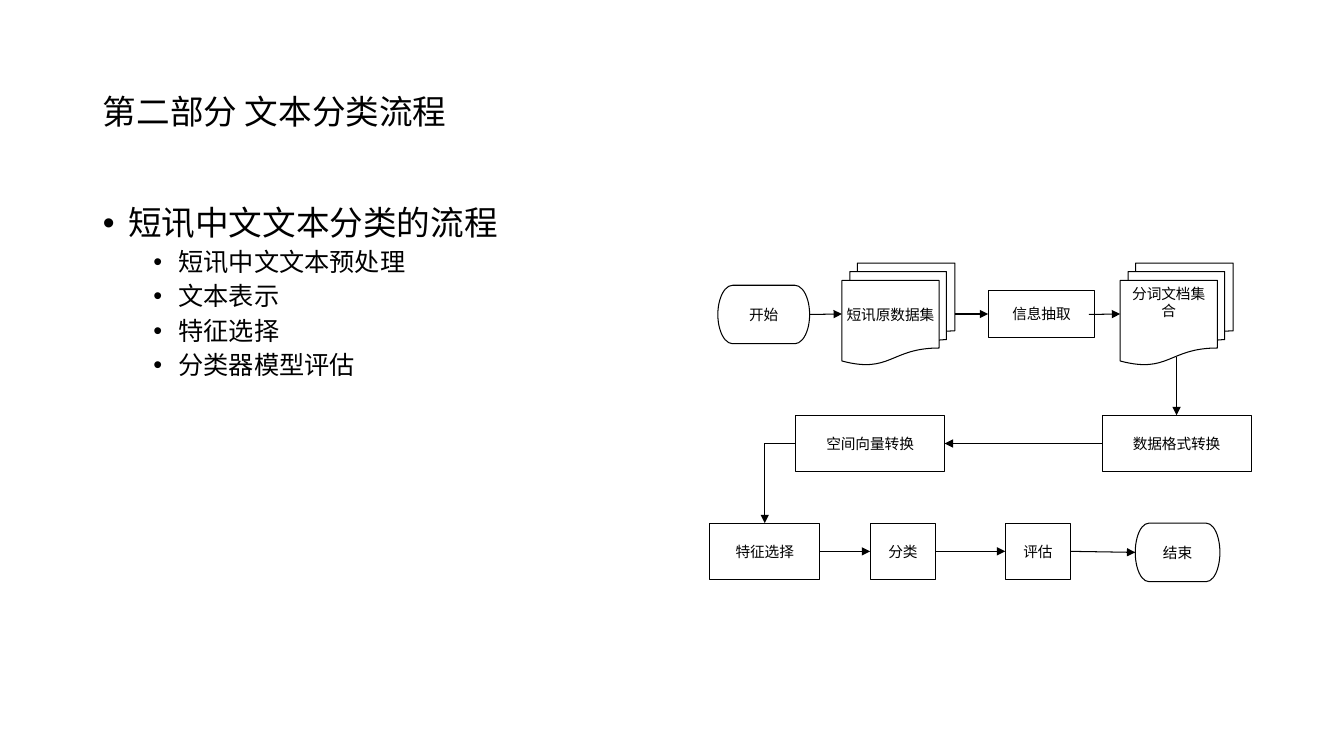
from dataclasses import dataclass

from lxml import etree
from pptx import Presentation
from pptx.dml.color import RGBColor
from pptx.enum.shapes import MSO_CONNECTOR as Link, MSO_SHAPE as Shape
from pptx.enum.text import MSO_ANCHOR as Anchor, PP_ALIGN as Align
from pptx.oxml.ns import qn
from pptx.util import Inches, Pt


@dataclass
class Theme:
    ink = RGBColor(0, 0, 0)
    paper = RGBColor(255, 255, 255)
    text_font = "Calibri"
    chart_font = "Times New Roman"
    heading = Pt(24)
    detail = Pt(18)
    label = Pt(10.5)
    line = Pt(0.75)


def style(paragraph, font_name, size, align):
    paragraph.alignment = align
    paragraph.font.name = font_name
    paragraph.font.size = size
    paragraph.font.color.rgb = Theme.ink


def add_arrow(kind, start, end):
    arrow = slide.shapes.add_connector(kind, *(Inches(v) for v in start + end))
    arrow.line.color.rgb = Theme.ink
    arrow.line.width = Theme.line
    etree.SubElement(arrow.line._get_or_add_ln(), qn("a:tailEnd"), type="triangle")
    etree.SubElement(arrow._element.spPr, qn("a:effectLst"))
    return arrow


deck = Presentation()
deck.slide_width, deck.slide_height = Inches(13.33), Inches(7.5)
slide = deck.slides.add_slide(deck.slide_layouts[1])

# Title
title = slide.shapes.title
title.left, title.top, title.width, title.height = map(Inches, (0.92, 0.4, 11.5, 1.45))
title.text_frame.text = "第二部分 文本分类流程"
title.text_frame.vertical_anchor = Anchor.MIDDLE
title.text_frame.paragraphs[0].line_spacing = 0.9
style(title.text_frame.paragraphs[0], Theme.text_font, Theme.heading, Align.LEFT)

# Outline of the process
outline = slide.placeholders[1]
outline.left, outline.top, outline.width, outline.height = map(Inches, (0.92, 2, 11.5, 4.76))
outline.text_frame.text = "\n".join([
    "短讯中文文本分类的流程",
    "短讯中文文本预处理",
    "文本表示",
    "特征选择",
    "分类器模型评估",
])
for i, point in enumerate(outline.text_frame.paragraphs):
    level, indent, before, size = (1, 0.75, 5, Theme.detail) if i else (0, 0.25, 10, Theme.heading)
    point.level = level
    point.line_spacing = 0.9
    point.space_before = Pt(before)
    properties = point._p.get_or_add_pPr()
    properties.set("marL", str(Inches(indent)))
    properties.set("indent", str(Inches(-0.25)))
    etree.SubElement(properties, qn("a:buFont"), typeface="Arial")
    etree.SubElement(properties, qn("a:buChar"), char="•")
    style(point, Theme.text_font, size, Align.LEFT)

# Flowchart steps: key, label, shape, box, side inset, bottom inset, anchor
terminator, process, documents = (
    Shape.FLOWCHART_TERMINATOR, Shape.FLOWCHART_PROCESS, Shape.FLOWCHART_MULTIDOCUMENT)
step_specs = [
    ("start", "开始", terminator, (7.12, 2.83, 0.91, 0.58), 0.07, 0.04, Anchor.MIDDLE),
    ("extract", "信息抽取", process, (9.8, 2.88, 1.06, 0.47), 0, 0.04, Anchor.MIDDLE),
    ("format", "数据格式转换", process, (10.93, 4.12, 1.48, 0.56), 0.07, 0.04, Anchor.MIDDLE),
    ("vector", "空间向量转换", process, (7.89, 4.12, 1.48, 0.56), 0.07, 0.04, Anchor.MIDDLE),
    ("select", "特征选择", process, (7.04, 5.19, 1.09, 0.56), 0.07, 0.04, Anchor.MIDDLE),
    ("classify", "分类", process, (8.63, 5.19, 0.65, 0.56), 0.07, 0.04, Anchor.MIDDLE),
    ("evaluate", "评估", process, (9.97, 5.19, 0.65, 0.56), 0.07, 0.04, Anchor.MIDDLE),
    ("end", "结束", terminator, (11.26, 5.19, 0.84, 0.58), 0.07, 0.04, Anchor.MIDDLE),
    ("raw", "短讯原数据集", documents, (8.35, 2.61, 1.12, 1.01), 0, 0.16, Anchor.MIDDLE),
    ("words", "分词文档集合", documents, (11.11, 2.61, 1.12, 1.01), 0.07, 0.04, Anchor.TOP),
]
steps = {}
for key, label, outline_shape, box, side_inset, bottom_inset, anchor in step_specs:
    step = slide.shapes.add_shape(outline_shape, *map(Inches, box))
    step.shadow.inherit = False
    step.fill.solid()
    step.fill.fore_color.rgb = Theme.paper
    step.line.color.rgb = Theme.ink
    step.line.width = Theme.line
    frame = step.text_frame
    frame.text = label
    frame.word_wrap = True
    frame.vertical_anchor = anchor
    frame.margin_left = frame.margin_right = Inches(side_inset)
    frame.margin_top, frame.margin_bottom = Inches(0.04), Inches(bottom_inset)
    style(frame.paragraphs[0], Theme.chart_font, Theme.label, Align.CENTER)
    steps[key] = step

# Arrows: source, its side, target, its side (0 top, 1 left, 2 bottom, 3 right)
joins = [
    ("start", 3, "raw", 1),
    ("raw", 3, "extract", 1),
    ("format", 1, "vector", 3),
    ("select", 3, "classify", 1),
    ("classify", 3, "evaluate", 1),
    ("evaluate", 3, "end", 1),
]
for source, source_side, target, target_side in joins:
    arrow = add_arrow(Link.STRAIGHT, (0, 0), (0, 0))
    arrow.begin_connect(steps[source], source_side)
    arrow.end_connect(steps[target], target_side)

# Arrows that start away from a side's middle
to_words = add_arrow(Link.STRAIGHT, (10.8, 3.12), (11.11, 3.12))
to_words.end_connect(steps["words"], 1)
to_format = add_arrow(Link.STRAIGHT, (11.67, 3.54), (11.67, 4.12))
to_format.end_connect(steps["format"], 0)

# Single-bend arrow down to the last row
to_select = add_arrow(Link.ELBOW, (7.89, 4.4), (7.58, 5.19))
to_select._element.spPr.find(qn("a:prstGeom")).set("prst", "bentConnector2")
to_select.begin_connect(steps["vector"], 1)
to_select.end_connect(steps["select"], 0)

deck.save("out.pptx")
